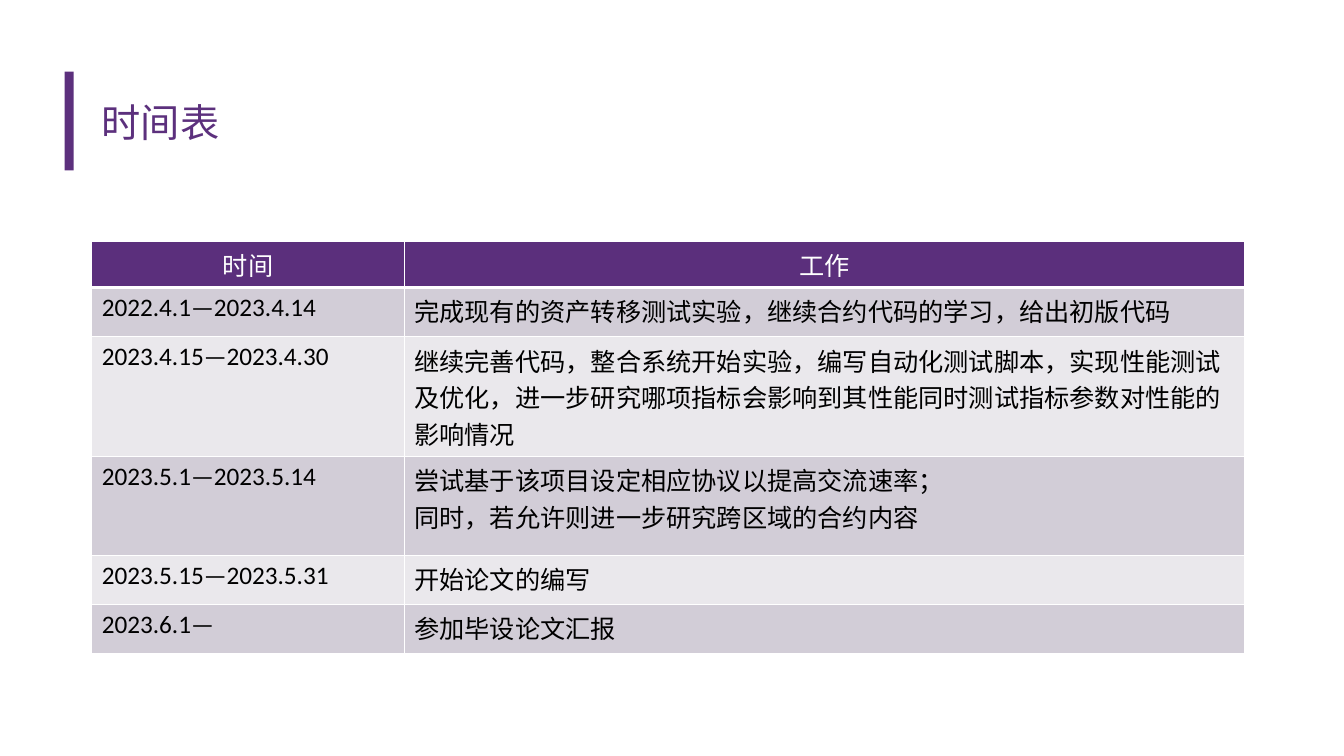
from lxml import etree
from pptx import Presentation
from pptx.dml.color import RGBColor
from pptx.enum.shapes import MSO_SHAPE as Preset
from pptx.enum.text import MSO_ANCHOR as Anchor, PP_ALIGN as Align
from pptx.oxml.ns import qn
from pptx.util import Inches, Pt

TITLE = "时间表"
HEADER = ("时间", "工作")
SCHEDULE = [
    ("2022.4.1—2023.4.14", "完成现有的资产转移测试实验，继续合约代码的学习，给出初版代码"),
    ("2023.4.15—2023.4.30",
     "继续完善代码，整合系统开始实验，编写自动化测试脚本，实现性能测试"
     "及优化，进一步研究哪项指标会影响到其性能同时测试指标参数对性能的影响情况"),
    ("2023.5.1—2023.5.14",
     "尝试基于该项目设定相应协议以提高交流速率；\n同时，若允许则进一步研究跨区域的合约内容"),
    ("2023.5.15—2023.5.31", "开始论文的编写"),
    ("2023.6.1—", "参加毕设论文汇报"),
]

FONT = "Calibri"
COLORS = {"title": "5C307D", "header": "5B2F7C", "odd": "D2CDD7",
          "even": "EAE8EC", "text": "000000", "white": "FFFFFF"}

LEFT = 0.91
TABLE_TOP = 2.39
COLUMN_WIDTHS = (3.1, 8.33)
ROW = 0.49
ROW_HEIGHTS = (0.46, ROW, 1.18, 2 * ROW, ROW, ROW)


def rgb(name):
    return RGBColor.from_string(COLORS[name])


def write(text_frame, text, size, color, align):
    for index, line in enumerate(text.split("\n")):
        paragraph = text_frame.add_paragraph() if index else text_frame.paragraphs[0]
        paragraph.alignment = align
        run = paragraph.add_run()
        run.text = line
        run.font.name = FONT
        run.font.size = Pt(size)
        run.font.bold = False
        run.font.color.rgb = rgb(color)


def add_borders(cell, bottom):
    """Draw white lines round a cell; call before the cell is filled."""
    properties = cell._tc.get_or_add_tcPr()
    for side, width in (("L", 1), ("R", 1), ("T", 1), ("B", bottom)):
        line = etree.SubElement(properties, qn(f"a:ln{side}"), w=str(Pt(width)))
        fill = etree.SubElement(line, qn("a:solidFill"))
        etree.SubElement(fill, qn("a:srgbClr"), val=COLORS["white"])


def add_title(slide):
    bar = slide.shapes.add_shape(
        Preset.RECTANGLE, Inches(0.64), Inches(0.71), Inches(0.09), Inches(0.98))
    bar.shadow.inherit = False
    bar.fill.solid()
    bar.fill.fore_color.rgb = rgb("title")
    bar.line.fill.background()

    title = slide.shapes.title
    title.left, title.top = Inches(LEFT), Inches(0.65)
    title.width, title.height = Inches(11.51), Inches(1.11)
    title.text_frame.vertical_anchor = Anchor.MIDDLE
    write(title.text_frame, TITLE, 28, "title", Align.LEFT)


def add_schedule(slide):
    rows = [HEADER, *SCHEDULE]
    table = slide.shapes.add_table(
        len(rows), len(HEADER), Inches(LEFT), Inches(TABLE_TOP),
        Inches(sum(COLUMN_WIDTHS)), Inches(sum(ROW_HEIGHTS))).table
    for column, width in zip(table.columns, COLUMN_WIDTHS):
        column.width = Inches(width)
    for index, (row, height, texts) in enumerate(zip(table.rows, ROW_HEIGHTS, rows)):
        row.height = Inches(height)
        is_header = index == 0
        fill = "header" if is_header else "odd" if index % 2 else "even"
        for cell, text in zip(row.cells, texts):
            add_borders(cell, bottom=3 if is_header else 1)
            cell.fill.solid()
            cell.fill.fore_color.rgb = rgb(fill)
            write(cell.text_frame, text, 18, "white" if is_header else "text",
                  Align.CENTER if is_header else Align.LEFT)


def main():
    presentation = Presentation()
    presentation.slide_width, presentation.slide_height = Inches(13.33), Inches(7.5)
    slide = presentation.slides.add_slide(presentation.slide_layouts.get_by_name("Title Only"))
    add_title(slide)
    add_schedule(slide)
    presentation.save("out.pptx")


if __name__ == "__main__":
    main()
